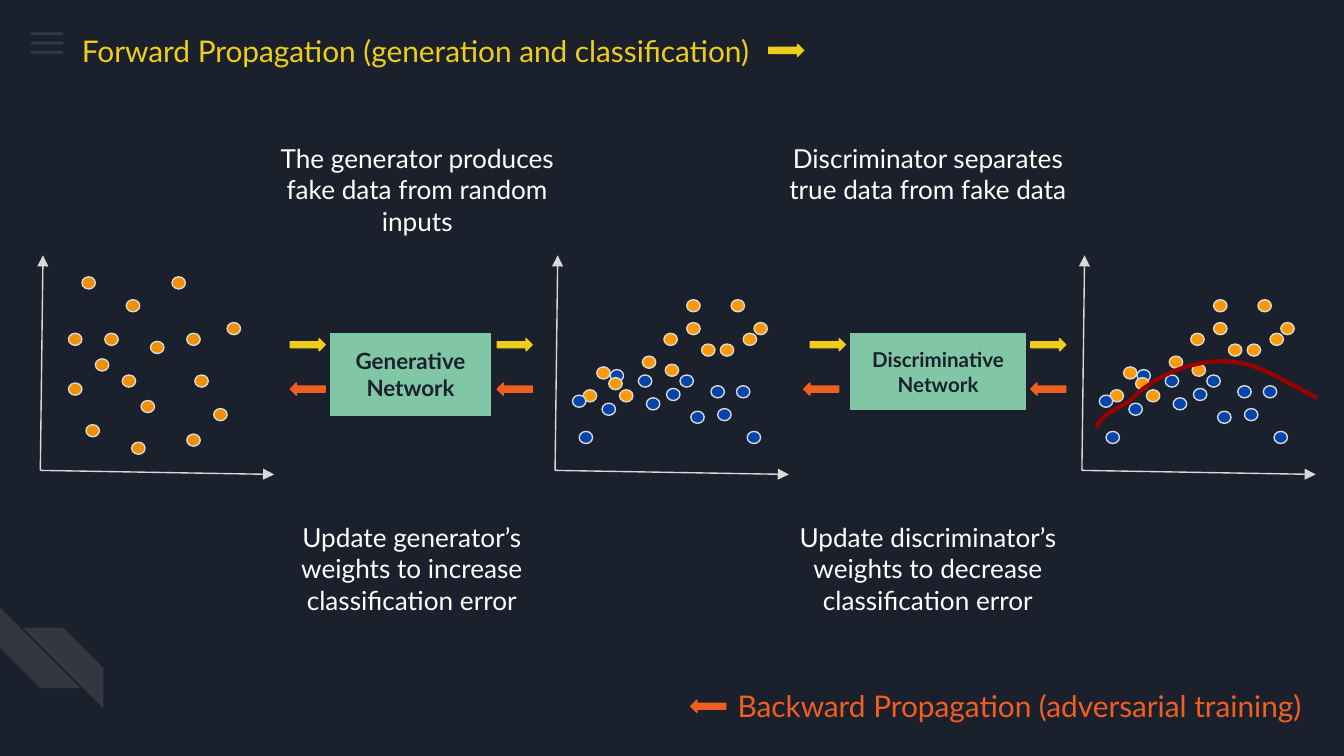
from typing import NamedTuple

from pptx import Presentation
from pptx.dml.color import RGBColor
from pptx.enum.shapes import MSO_CONNECTOR, MSO_SHAPE as SHAPE
from pptx.enum.text import MSO_ANCHOR, MSO_AUTO_SIZE, PP_ALIGN as ALIGN
from pptx.oxml.ns import qn
from pptx.oxml.xmlchemy import OxmlElement
from pptx.util import Inches, Pt

# Colours
NAVY = RGBColor(0x1B, 0x21, 0x2C)
WHITE = RGBColor(0xFF, 0xFF, 0xFF)
SLATE = RGBColor(0x55, 0x68, 0x8B)
GREY = RGBColor(0xD9, 0xD9, 0xD9)
GREEN = RGBColor(0x82, 0xC7, 0xA5)
YELLOW = RGBColor(0xEE, 0xCE, 0x1A)
ORANGE = RGBColor(0xF1, 0x5E, 0x22)
AMBER = RGBColor(0xF0, 0x90, 0x00)
FAKE = RGBColor(0xFF, 0x99, 0x00)
REAL = RGBColor(0x01, 0x45, 0xAC)
RED = RGBColor(0x99, 0x00, 0x00)


class Dot(NamedTuple):
    """A data point, placed from the plot's left edge and the slide's top."""
    x: float
    y: float
    color: RGBColor


class Plot(NamedTuple):
    x: float
    dots: list[Dot]


class Network(NamedTuple):
    x: float
    w: float
    h: float
    size: int
    lines: list[str]


class Caption(NamedTuple):
    x: float
    y: float
    h: float
    text: str


NOISE = [Dot(x, y, AMBER) for x, y in [
    (0.21, 2.48), (0.41, 2.67), (0.48, 2.48), (0.61, 2.79), (0.75, 2.98),
    (0.34, 3.16), (1.09, 3.23), (1.15, 2.79), (1.29, 3.04), (0.82, 2.54),
    (0.21, 2.85), (0.68, 3.29), (1.09, 2.48), (0.64, 2.23), (0.31, 2.06),
    (0.98, 2.06), (1.39, 2.4)]]
SAMPLES = [
    Dot(0.21, 2.9, FAKE), Dot(0.41, 2.75, REAL), Dot(0.48, 2.9, FAKE),
    Dot(0.62, 2.79, REAL), Dot(0.83, 2.89, REAL), Dot(0.35, 3, REAL),
    Dot(1.01, 3.06, REAL), Dot(1.16, 2.87, REAL), Dot(1.21, 3.04, REAL),
    Dot(0.82, 2.71, FAKE), Dot(0.13, 2.94, REAL), Dot(0.68, 2.96, REAL),
    Dot(1.09, 2.56, FAKE), Dot(0.65, 2.65, FAKE), Dot(0.31, 2.73, FAKE),
    Dot(0.98, 2.23, FAKE), Dot(1.4, 2.48, FAKE), Dot(0.18, 3.21, REAL),
    Dot(1.43, 3.21, REAL), Dot(1.35, 2.87, REAL), Dot(0.93, 2.79, REAL),
    Dot(0.81, 2.48, FAKE), Dot(0.98, 2.4, FAKE), Dot(1.23, 2.56, FAKE),
    Dot(1.31, 2.23, FAKE), Dot(1.48, 2.4, FAKE), Dot(0.4, 2.81, FAKE)]
PLOTS = [Plot(0.3, NOISE), Plot(4.13, SAMPLES), Plot(8.05, SAMPLES)]

NETWORKS = [Network(2.46, 1.19, 0.61, 12, ["Generative", "Network"]),
            Network(6.33, 1.3, 0.57, 11, ["Discriminative", "Network"])]
CAPTIONS = [
    Caption(1.87, 0.96, 0.91, "The generator produces fake data from random inputs"),
    Caption(5.67, 0.96, 0.67, "Discriminator separates true data from fake data"),
    Caption(1.83, 3.78, 0.91, "Update generator’s weights to increase classification error"),
    Caption(5.67, 3.78, 0.91, "Update discriminator’s weights to decrease classification error")]
FORWARD_ARROWS = [(2.16, 2.52), (3.7, 2.52), (6.03, 2.52), (7.67, 2.52), (5.72, 0.33)]
BACKWARD_ARROWS = [(2.16, 2.85), (3.7, 2.85), (5.98, 2.85), (7.67, 2.85), (5.14, 5.21)]

# Cubic segments of the decision boundary, each from the end of the last
BOUNDARY_START = (8.16, 3.18)
BOUNDARY = [((8.2, 3.06), (8.36, 3.04), (8.44, 2.95)),
            ((8.64, 2.76), (8.96, 2.65), (9.23, 2.7)),
            ((9.43, 2.74), (9.61, 2.87), (9.8, 2.96))]


def add_shape(s, kind, x: float, y: float, w: float, h: float,
              fill: RGBColor, line: RGBColor | None = None,
              alpha: int | None = None, rotation: int = 0):
    sp = s.shapes.add_shape(kind, Inches(x), Inches(y), Inches(w), Inches(h))
    sp.shadow.inherit = False
    sp.rotation = rotation
    sp.fill.solid()
    sp.fill.fore_color.rgb = fill
    if alpha is not None:
        node = OxmlElement("a:alpha")
        node.set("val", str(alpha * 1000))
        sp._element.spPr.find(qn("a:solidFill"))[0].append(node)
    if line is None:
        sp.line.fill.background()
    else:
        sp.line.color.rgb = line
        sp.line.width = Pt(0.75)
    return sp


def write(sp, lines: list[str], size: int, color: RGBColor,
          align=ALIGN.CENTER, anchor=MSO_ANCHOR.TOP, bold: bool = False) -> None:
    tf = sp.text_frame
    frame = dict(word_wrap=True, auto_size=MSO_AUTO_SIZE.NONE, vertical_anchor=anchor)
    frame |= dict.fromkeys(
        ("margin_left", "margin_top", "margin_right", "margin_bottom"), Inches(0.1))
    for name, value in frame.items():
        setattr(tf, name, value)
    tf.text = "\n".join(lines)
    for p in tf.paragraphs:
        p.alignment = align
        for name, value in dict(name="Lato", size=Pt(size), bold=bold).items():
            setattr(p.runs[0].font, name, value)
        p.runs[0].font.color.rgb = color


def add_text(s, x: float, y: float, w: float, h: float, text: str,
             size: int, color: RGBColor, align=ALIGN.CENTER) -> None:
    box = s.shapes.add_textbox(Inches(x), Inches(y), Inches(w), Inches(h))
    write(box, [text], size, color, align)


def add_axis(s, x: float, dx: float, y: float) -> None:
    axis = s.shapes.add_connector(MSO_CONNECTOR.STRAIGHT, Inches(x), Inches(3.5),
                                  Inches(x + dx), Inches(y))
    axis.line.color.rgb = GREY
    axis.line.width = Pt(0.75)
    head = OxmlElement("a:tailEnd")
    head.set("type", "triangle")
    axis.line._get_or_add_ln().append(head)
    axis._element.spPr.append(OxmlElement("a:effectLst"))


def add_plot(s, plot: Plot) -> None:
    add_axis(s, plot.x, 0.02, 1.9)
    add_axis(s, plot.x, 1.74, 3.53)
    for dot in plot.dots:
        add_shape(s, SHAPE.OVAL, plot.x + dot.x, dot.y, 0.1, 0.09, dot.color, GREY)


def add_boundary(s, steps: int = 16) -> None:
    points, start = [], BOUNDARY_START
    for a, b, end in BOUNDARY:
        for t in (i / steps for i in range(1, steps + 1)):
            u = 1 - t
            points.append(tuple(
                Inches(u**3 * p0 + 3 * u * u * t * p1 + 3 * u * t * t * p2 + t**3 * p3)
                for p0, p1, p2, p3 in zip(start, a, b, end)))
        start = end
    builder = s.shapes.build_freeform(*map(Inches, BOUNDARY_START))
    builder.add_line_segments(points, close=False)
    sp = builder.convert_to_shape()
    sp.shadow.inherit = False
    sp.fill.background()
    sp.line.color.rgb = RED
    sp.line.width = Pt(2.25)


def main() -> None:
    # A 16:9 slide
    prs = Presentation()
    prs.slide_width, prs.slide_height = Inches(10), Inches(10 * 9 / 16)
    s = prs.slides.add_slide(prs.slide_layouts[5])
    s.background.fill.solid()
    s.background.fill.fore_color.rgb = NAVY

    # Corner stripes and menu bars
    add_shape(s, SHAPE.DIAGONAL_STRIPE, 0, 4.52, 0.6, 0.6, WHITE, alpha=10, rotation=270)
    stripe = add_shape(s, SHAPE.DIAGONAL_STRIPE, 0.17, 4.67, 0.6, 0.6, WHITE, alpha=10)
    stripe._element.spPr.find(qn("a:xfrm")).set("flipH", "1")
    for i in range(3):
        add_shape(s, SHAPE.RECTANGLE, 0.23, 0.24 + 0.07 * i, 0.24, 0.02, SLATE, alpha=36)

    # Headings
    title = s.shapes.title
    for name, value in dict(left=0.51, top=0.14, width=7.03, height=0.47).items():
        setattr(title, name, Inches(value))
    write(title, ["Forward Propagation (generation and classification)"],
          16, YELLOW, ALIGN.LEFT)
    add_text(s, 5.39, 5.02, 4.77, 0.47, "Backward Propagation (adversarial training)",
             16, ORANGE, ALIGN.LEFT)

    # Plots with the decision boundary on the last
    for plot in PLOTS:
        add_plot(s, plot)
    add_boundary(s)

    # Networks, arrows and captions
    for net in NETWORKS:
        box = add_shape(s, SHAPE.RECTANGLE, net.x, 2.48, net.w, net.h, GREEN, GREEN)
        write(box, net.lines, net.size, NAVY, anchor=MSO_ANCHOR.MIDDLE, bold=True)
    for places, color, rotation in ((FORWARD_ARROWS, YELLOW, 0),
                                    (BACKWARD_ARROWS, ORANGE, 180)):
        for x, y in places:
            add_shape(s, SHAPE.RIGHT_ARROW, x, y, 0.26, 0.09, color, color,
                      rotation=rotation)
    for c in CAPTIONS:
        add_text(s, c.x, c.y, 2.47, c.h, c.text, 14, WHITE)

    prs.save("out.pptx")


if __name__ == "__main__":
    main()
